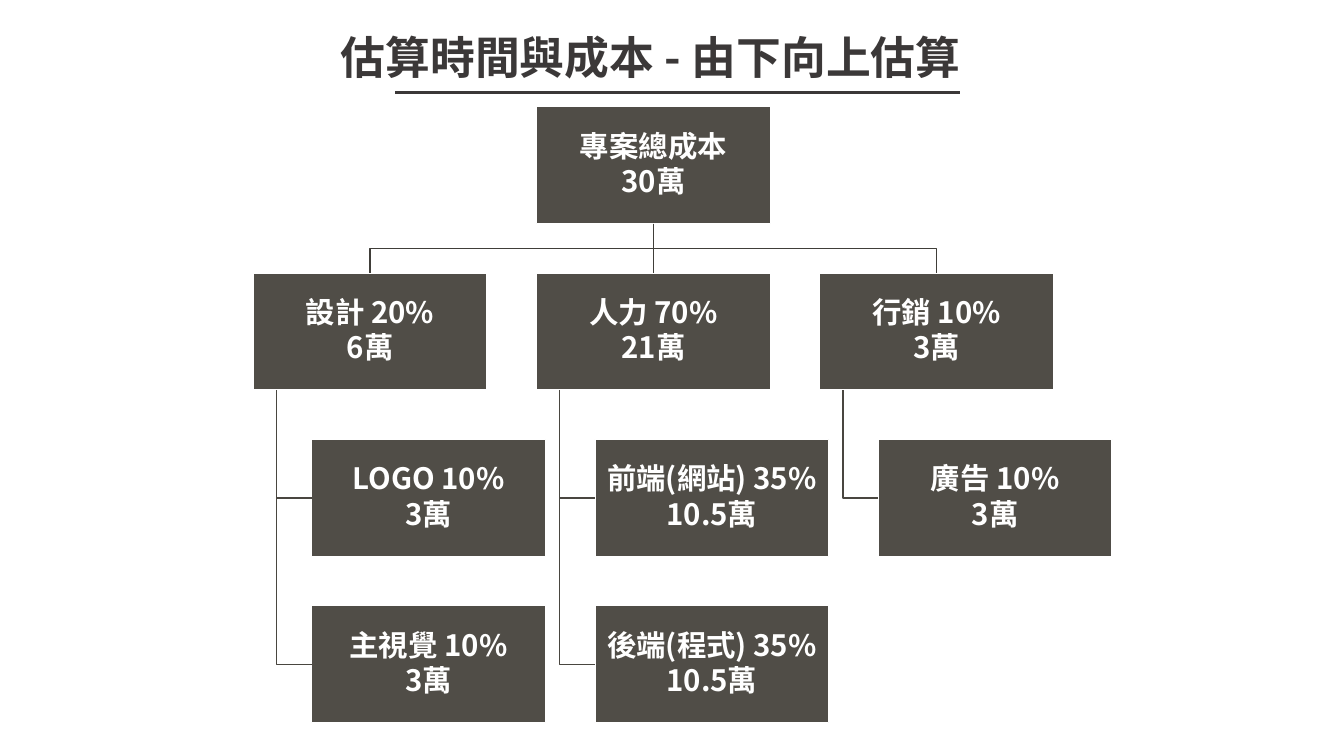
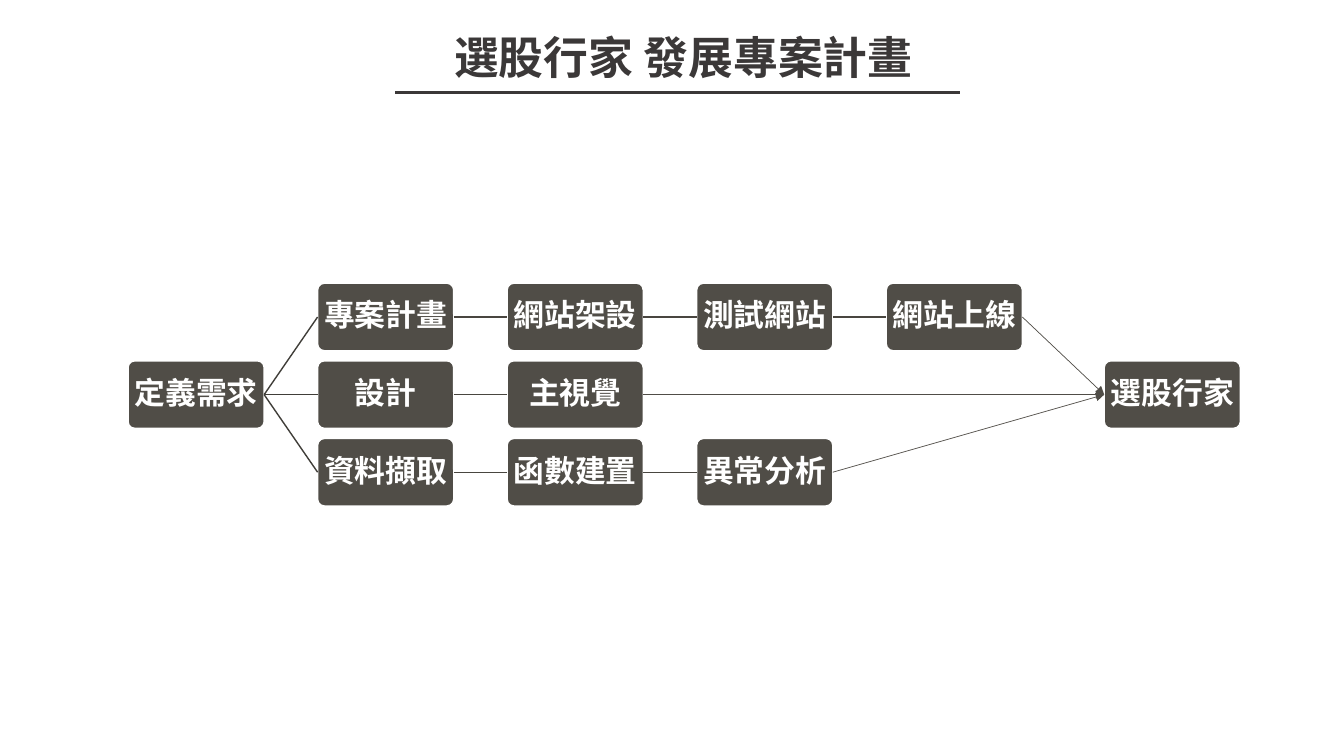
"""Build a cost breakdown tree and a project flow as two slides."""
from dataclasses import dataclass
from itertools import pairwise

from lxml.etree import SubElement
from pptx import Presentation
from pptx.dml.color import RGBColor
from pptx.enum.shapes import MSO_CONNECTOR, MSO_SHAPE
from pptx.enum.text import MSO_ANCHOR, PP_ALIGN
from pptx.oxml.ns import qn
from pptx.util import Inches, Pt


@dataclass(frozen=True)
class Theme:
    font: str = "Noto Sans CJK SC"
    ink: str = "3B3838"
    block: str = "504D47"
    paper: str = "FFFFFF"
    trunk: str = "403E39"
    branch: str = "494640"
    title_size: float = 32
    tree_size: float = 21
    flow_size: float = 22
    line_spacing: float = 0.9
    space_after: float = 2.6


@dataclass(frozen=True)
class Grid:
    left: float
    top: float
    column: float
    row: float
    width: float
    height: float

    def cell(self, column, row, indent=0):
        left = self.left + column * self.column + indent * self.width
        top = self.top + row * self.row
        return [Inches(n) for n in (left, top, self.width, self.height)]


THEME = Theme()
SLIDE_WIDTH, SLIDE_HEIGHT = Inches(13.33), Inches(7.5)
TREE = Grid(2.51, 1.06, 2.81, 1.65, 2.32, 1.16)
FLOW = Grid(1.27, 2.81, 1.88, 0.77, 1.35, 0.67)
CHILD_INDENT, SPINE_INDENT = 0.25, 0.1
TOP, LEFT, BOTTOM, RIGHT = range(4)

TOTAL = ["專案總成本", "30萬"]
BUDGET = [
    (["設計 20%", "6萬"], [["LOGO 10%", "3萬"], ["主視覺 10%", "3萬"]]),
    (["人力 70%", "21萬"],
     [["前端(網站) 35%", "10.5萬"], ["後端(程式) 35%", "10.5萬"]]),
    (["行銷 10%", "3萬"], [["廣告 10%", "3萬"]]),
]
START, GOAL, GOAL_COLUMN = "定義需求", "選股行家", 5.15
TRACKS = [
    ["專案計畫", "網站架設", "測試網站", "網站上線"],
    ["設計", "主視覺"],
    ["資料擷取", "函數建置", "異常分析"],
]


def across(percent):
    return int(SLIDE_WIDTH * percent / 100)


def down(percent):
    return int(SLIDE_HEIGHT * percent / 100)


def write(shape, lines, size, color, inset=0, spacing=1, after=0):
    frame = shape.text_frame
    frame.word_wrap = False
    frame.vertical_anchor = MSO_ANCHOR.MIDDLE
    frame.margin_left = frame.margin_right = Inches(inset)
    frame.margin_top = frame.margin_bottom = Inches(inset)
    for index, line in enumerate(lines):
        paragraph = frame.add_paragraph() if index else frame.paragraphs[0]
        paragraph.alignment = PP_ALIGN.CENTER
        paragraph.line_spacing = spacing
        paragraph.space_after = Pt(after)
        run = paragraph.add_run()
        run.text = line
        run.font.size, run.font.bold = Pt(size), True
        run.font.color.rgb = RGBColor.from_string(color)
        run.font.name = THEME.font
        SubElement(run.font._element, qn("a:ea"), typeface=THEME.font)


def style_line(line, color, width=1):
    line.color.rgb = RGBColor.from_string(color)
    line.width = Pt(width)


def add_line(slide, start, end, color, width=1, arrow=False):
    line = slide.shapes.add_connector(MSO_CONNECTOR.STRAIGHT, *start, *end)
    style_line(line.line, color, width)
    properties = line._element.spPr
    if arrow:
        SubElement(properties.find(qn("a:ln")), qn("a:tailEnd"), type="triangle")
    SubElement(properties, qn("a:effectLst"))
    return line


def join(slide, source, target, sides, color, **options):
    line = add_line(slide, (0, 0), (0, 0), color, **options)
    line.begin_connect(source, sides[0])
    line.end_connect(target, sides[1])


def add_elbow(slide, points, color):
    builder = slide.shapes.build_freeform(*points[0])
    builder.add_line_segments(points[1:], close=False)
    elbow = builder.convert_to_shape()
    elbow.shadow.inherit = False
    elbow.fill.background()
    style_line(elbow.line, color)


def add_block(slide, cell, lines, size, kind=MSO_SHAPE.RECTANGLE):
    block = slide.shapes.add_shape(kind, *cell)
    block.shadow.inherit = False
    block.fill.solid()
    block.fill.fore_color.rgb = RGBColor.from_string(THEME.block)
    style_line(block.line, THEME.paper)
    write(block, lines, size, THEME.paper, inset=0.02,
          spacing=THEME.line_spacing, after=THEME.space_after)
    return block


def add_titled_slide(deck, title, center):
    slide = deck.slides.add_slide(deck.slide_layouts[6])
    width = across(52.6)
    heading = slide.shapes.add_textbox(
        across(center) - width // 2, down(3.2), width, down(8.53))
    write(heading, [title], THEME.title_size, THEME.ink)
    add_line(slide, (across(29.4), down(12.27)), (across(71.4), down(12.27)),
             THEME.ink, width=2)
    return slide


def middle(block):
    return block.left + block.width // 2


def add_department(slide, total, column, heading, items):
    department = add_block(slide, TREE.cell(column, 1), heading, THEME.tree_size)
    base = total.top + total.height
    if middle(department) == middle(total):
        join(slide, total, department, (BOTTOM, TOP), THEME.trunk)
    else:
        bend = (base + department.top) // 2
        add_elbow(slide, [(middle(total), base), (middle(total), bend),
                          (middle(department), bend),
                          (middle(department), department.top)], THEME.trunk)
    spine = department.left + int(department.width * SPINE_INDENT)
    for row, lines in enumerate(items, 2):
        item = add_block(slide, TREE.cell(column, row, CHILD_INDENT), lines,
                         THEME.tree_size)
        level = item.top + item.height // 2
        add_elbow(slide, [(spine, department.top + department.height),
                          (spine, level), (item.left, level)], THEME.branch)


def add_budget_tree(slide):
    total = add_block(slide, TREE.cell(1, 0), TOTAL, THEME.tree_size)
    for column, (heading, items) in enumerate(BUDGET):
        add_department(slide, total, column, heading, items)


def add_step(slide, column, row, label):
    step = add_block(slide, FLOW.cell(column, row), [label], THEME.flow_size,
                     MSO_SHAPE.ROUNDED_RECTANGLE)
    step.adjustments[0] = 0.1
    return step


def add_project_flow(slide):
    start = add_step(slide, 0, 1, START)
    goal = add_step(slide, GOAL_COLUMN, 1, GOAL)
    forward = (RIGHT, LEFT)
    for row, labels in enumerate(TRACKS):
        steps = [add_step(slide, column, row, label)
                 for column, label in enumerate(labels, 1)]
        join(slide, start, steps[0], forward, THEME.trunk)
        for source, target in pairwise(steps):
            join(slide, source, target, forward, THEME.branch)
        join(slide, steps[-1], goal, forward, THEME.block, width=0.5, arrow=True)


def main():
    deck = Presentation()
    deck.slide_width, deck.slide_height = SLIDE_WIDTH, SLIDE_HEIGHT
    add_budget_tree(
        add_titled_slide(deck, "估算時間與成本 - 由下向上估算", 48.42))
    add_project_flow(add_titled_slide(deck, "選股行家 發展專案計畫", 50.86))
    deck.save("out.pptx")


if __name__ == "__main__":
    main()
